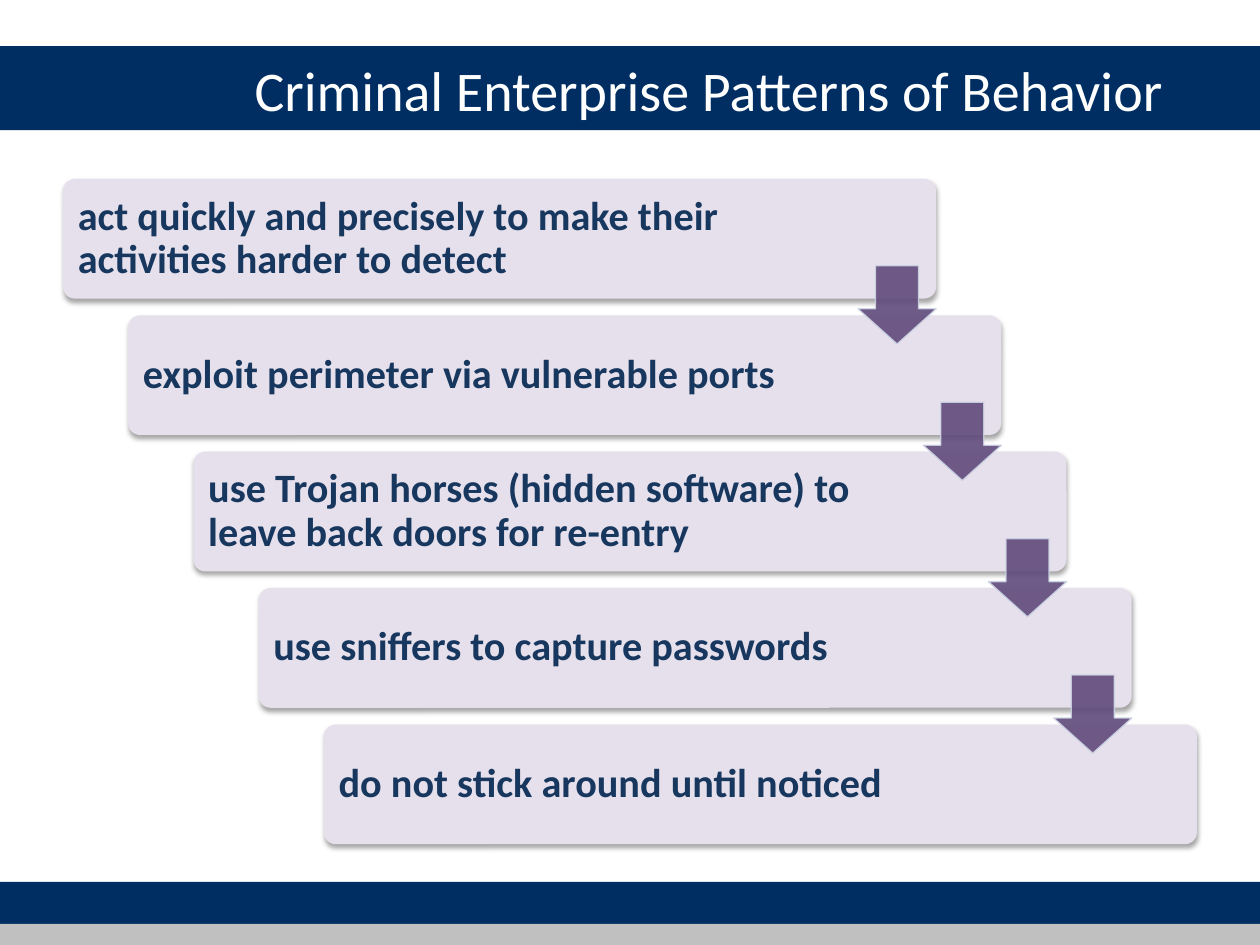
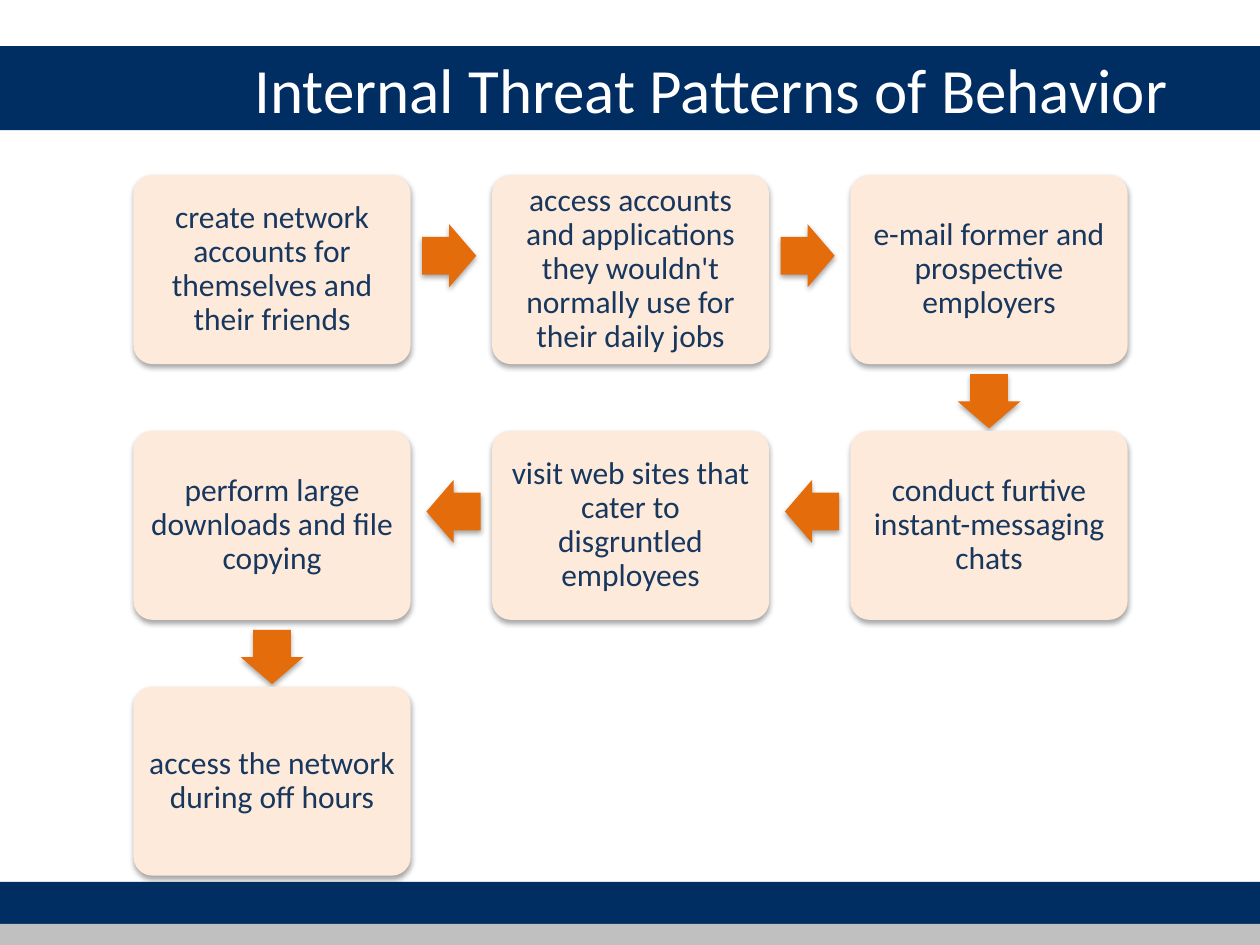
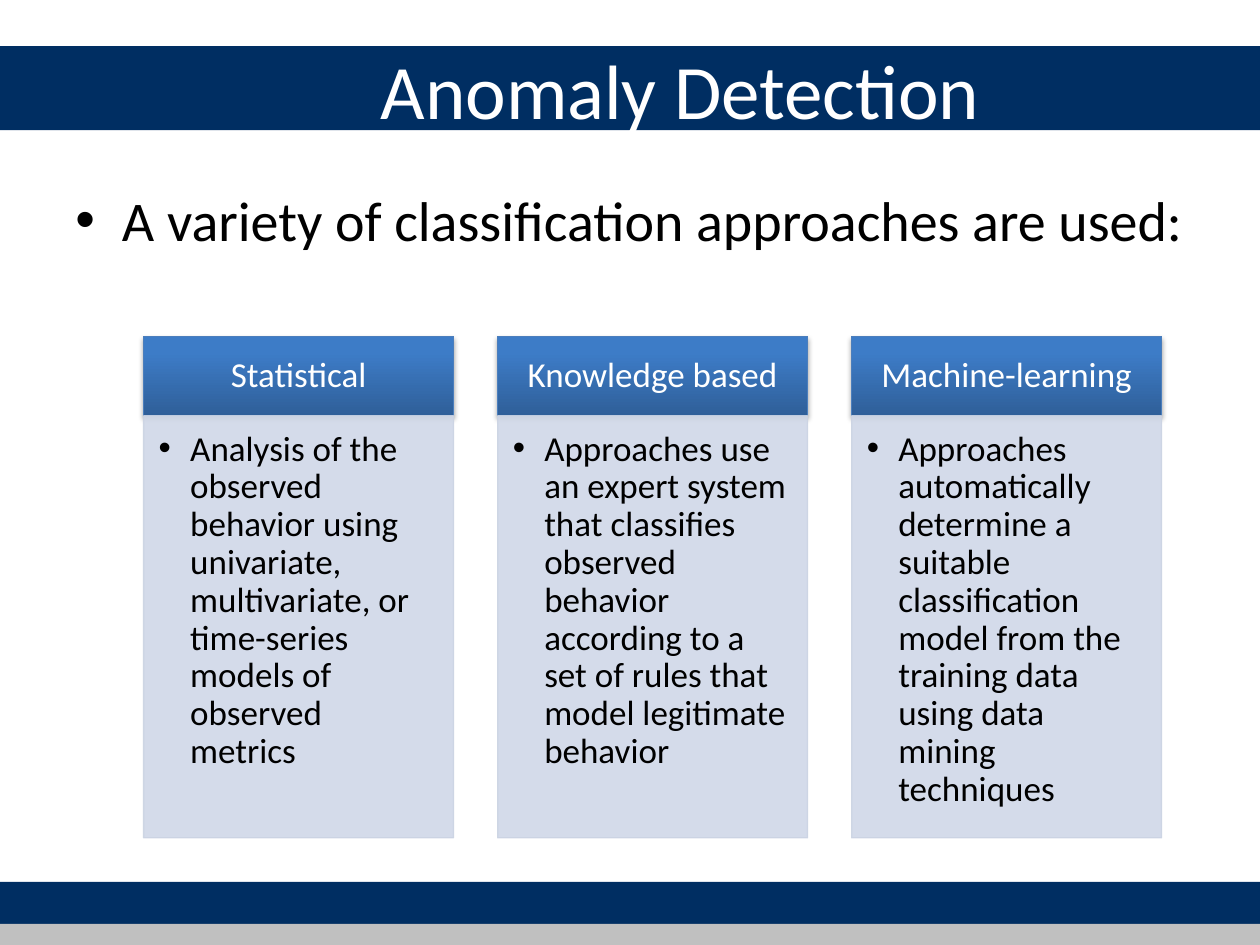
from pptx import Presentation
from pptx.dml.color import RGBColor
from pptx.enum.shapes import MSO_SHAPE
from pptx.enum.text import MSO_ANCHOR, MSO_AUTO_SIZE, PP_ALIGN
from pptx.oxml.ns import qn
from pptx.util import Inches, Pt
from lxml.etree import SubElement

FONT = "Calibri"
NAVY, SILVER, WHITE, BLACK = "002E62", "C0C0C0", "FFFFFF", "000000"
INK, LILAC, PURPLE = "17375E", "E6E0EC", "604A7B"
PEACH, ORANGE = "FDEADA", "E46C0A"
HEAD_DARK, HEAD_LIGHT, HEAD_LINE = "2F5F99", "3D7CC7", "4B7EBC"
PANEL, PALE_LINE = "D0D8E8", "CBD3E3"

WIDTH, HEIGHT = Inches(10), Inches(7.5)
COLS, ROWS = 100, 75

PATTERNS = [
    "act quickly and precisely to make their activities harder to detect",
    "exploit perimeter via vulnerable ports",
    "use Trojan horses (hidden software) to leave back doors for re-entry",
    "use sniffers to capture passwords",
    "do not stick around until noticed",
]
THREATS = [
    (0, 0, "create network accounts for themselves and their friends"),
    (1, 0, "access accounts and applications they wouldn't normally use "
           "for their daily jobs"),
    (2, 0, "e-mail former and prospective employers"),
    (2, 1, "conduct furtive instant-messaging chats"),
    (1, 1, "visit web sites that cater to disgruntled employees"),
    (0, 1, "perform large downloads and file copying"),
    (0, 2, "access the network during off hours"),
]
APPROACHES = [
    ("Statistical",
     "Analysis of the observed behavior using univariate, multivariate, "
     "or time-series models of observed metrics"),
    ("Knowledge based",
     "Approaches use an expert system that classifies observed behavior "
     "according to a set of rules that model legitimate behavior"),
    ("Machine-learning",
     "Approaches automatically determine a suitable classification model "
     "from the training data using data mining techniques"),
]


def rgb(value):
    return RGBColor.from_string(value)


def area(x, y, w, h):
    col, row = WIDTH / COLS, HEIGHT / ROWS
    return [round(v) for v in (x * col, y * row, w * col, h * row)]


def set_alpha(parent, percent):
    for color in parent.iter(qn("a:srgbClr")):
        SubElement(color, qn("a:alpha"), val=str(percent * 1000))


def add_shadow(sp):
    effects = sp._element.spPr.find(qn("a:effectLst"))
    shadow = SubElement(effects, qn("a:outerShdw"), blurRad=str(Pt(3.1)),
                        dist=str(Pt(1.8)), dir="5400000", rotWithShape="0")
    color = SubElement(shadow, qn("a:srgbClr"), val=BLACK)
    SubElement(color, qn("a:alpha"), val="35000")


def write(tf, text, size, color, bold=False, align=PP_ALIGN.LEFT,
          anchor=MSO_ANCHOR.MIDDLE, insets=(0.1, 0.05, 0.1, 0.05),
          spacing=None, indent=0, bullet=None):
    tf.word_wrap = True
    tf.auto_size = MSO_AUTO_SIZE.NONE
    tf.vertical_anchor = anchor
    (tf.margin_left, tf.margin_top,
     tf.margin_right, tf.margin_bottom) = map(Inches, insets)
    p = tf.paragraphs[0]
    p.alignment = align
    p.line_spacing = spacing
    pPr = p._p.get_or_add_pPr()
    if indent:
        pPr.set("marL", str(Inches(indent)))
    if bullet:
        pPr.set("indent", str(-Inches(indent)))
        SubElement(pPr, qn("a:buFont"), typeface="Arial")
        SubElement(pPr, qn("a:buChar"), char=bullet)
    r = p.add_run()
    r.text = text
    r.font.name = FONT
    r.font.size = Pt(size)
    r.font.bold = bold
    r.font.color.rgb = rgb(color)


def add_box(slide, kind, at, fill, line=None, adjust=(), shadow=False, alpha=None):
    sp = slide.shapes.add_shape(kind, *area(*at))
    sp.shadow.inherit = False
    for i, value in enumerate(adjust):
        sp.adjustments[i] = value
    if isinstance(fill, tuple):
        sp.fill.gradient()
        sp.fill.gradient_angle = 90
        for stop, (position, color) in zip(sp.fill.gradient_stops, fill):
            stop.position = position
            stop.color.rgb = rgb(color)
    else:
        sp.fill.solid()
        sp.fill.fore_color.rgb = rgb(fill)
    if line:
        sp.line.color.rgb = rgb(line)
        sp.line.width = Pt(0.75)
    else:
        sp.line.fill.background()
    if alpha:
        set_alpha(sp._element.spPr, alpha)
    if shadow:
        add_shadow(sp)
    return sp


def set_up_layout(layout, slide):
    tree = layout.shapes._spTree
    bands = [(70, 3.33, NAVY), (3.67, 6.67, NAVY), (73.33, 1.67, SILVER)]
    for i, (top, height, color) in enumerate(bands):
        band = add_box(slide, MSO_SHAPE.RECTANGLE, (0, top, COLS, height), color)
        tree.insert(2 + i, band._element)


def add_title(slide, text, size, indent=0):
    title = slide.shapes.title
    title.left, title.top, title.width, title.height = area(19.2, 0.8, 79.2, 12.5)
    write(title.text_frame, text, size, WHITE, indent=indent)


def add_staircase(slide):
    left, top, width, height, arrow = 5, 14.2, 69.3, 9.5, 6.2
    gaps = len(PATTERNS) - 1
    step_x = (COLS - 2 * left - width) / gaps
    step_y = (67 - top - height) / gaps
    corners = [(left + i * step_x, top + i * step_y) for i in range(gaps + 1)]
    for (x, y), text in zip(corners, PATTERNS):
        sp = add_box(slide, MSO_SHAPE.ROUNDED_RECTANGLE, (x, y, width, height),
                     LILAC, adjust=[0.1], shadow=True)
        write(sp.text_frame, text, 23, INK, bold=True, spacing=0.9,
              insets=(0.09, 0.09, 1.2, 0.09))
    for x, y in corners[:-1]:
        add_box(slide, MSO_SHAPE.DOWN_ARROW,
                (x + width - arrow, y + 6.9, arrow, arrow), PURPLE,
                line=PALE_LINE, adjust=[0.55, 0.45], alpha=90)


def add_step_arrow(slide, x, y, w, h, direction):
    length, breadth, gap = 4.3, 5, 0.9
    middle = y + 6.4 - breadth / 2
    kind, at = {
        (1, 0): (MSO_SHAPE.RIGHT_ARROW, (x + w + gap, middle, length, breadth)),
        (-1, 0): (MSO_SHAPE.LEFT_ARROW, (x - gap - length, middle, length, breadth)),
        (0, 1): (MSO_SHAPE.DOWN_ARROW,
                 (x + (w - breadth) / 2, y + h + 0.8, breadth, length)),
    }[direction]
    add_box(slide, kind, at, ORANGE, adjust=[0.6, 0.5], shadow=True)


def add_snake(slide):
    w, h = 22, 15
    for i, (col, row, text) in enumerate(THREATS):
        x, y = 10.6 + 28.45 * col, 13.9 + 20.3 * row
        sp = add_box(slide, MSO_SHAPE.ROUNDED_RECTANGLE, (x, y, w, h), PEACH,
                     adjust=[0.1], shadow=True)
        write(sp.text_frame, text, 18, INK, align=PP_ALIGN.CENTER, spacing=0.9,
              insets=[0.07] * 4)
        if i + 1 < len(THREATS):
            next_col, next_row, _ = THREATS[i + 1]
            add_step_arrow(slide, x, y, w, h, (next_col - col, next_row - row))


def add_lead(slide, text):
    box = slide.shapes.add_textbox(*area(5, 14.2, 90, 9))
    write(box.text_frame, text, 32, BLACK, anchor=MSO_ANCHOR.TOP,
          indent=0.37, bullet="•")


def add_columns(slide):
    w, head, body = 24.6, 6.3, 33.5
    for i, (name, text) in enumerate(APPROACHES):
        x, y = 11.4 + 28.1 * i, 26.7
        sp = add_box(slide, MSO_SHAPE.RECTANGLE, (x, y, w, head),
                     ((0, HEAD_DARK), (0.8, HEAD_LIGHT)), line=HEAD_LINE, shadow=True)
        write(sp.text_frame, name, 20, WHITE, align=PP_ALIGN.CENTER, spacing=0.9,
              insets=(0.16, 0.09, 0.16, 0.09))
        sp = add_box(slide, MSO_SHAPE.RECTANGLE, (x, y + head, w, body),
                     PANEL, line=PALE_LINE, alpha=90)
        write(sp.text_frame, text, 20, BLACK, anchor=MSO_ANCHOR.TOP, spacing=0.9,
              insets=(0.12, 0.12, 0.16, 0.17), indent=0.25, bullet="•")


def main():
    prs = Presentation()
    prs.slide_width, prs.slide_height = WIDTH, HEIGHT
    layout = prs.slide_layouts[5]
    criminal, internal, anomaly = [prs.slides.add_slide(layout) for _ in range(3)]
    set_up_layout(layout, criminal)

    add_title(criminal, "Criminal Enterprise Patterns of Behavior", 32)
    add_staircase(criminal)

    add_title(internal, "Internal Threat Patterns of Behavior", 36)
    add_snake(internal)

    add_title(anomaly, "Anomaly Detection", 44, indent=1)
    add_lead(anomaly, "A variety of classification approaches are used:")
    add_columns(anomaly)

    prs.save("out.pptx")


if __name__ == "__main__":
    main()
